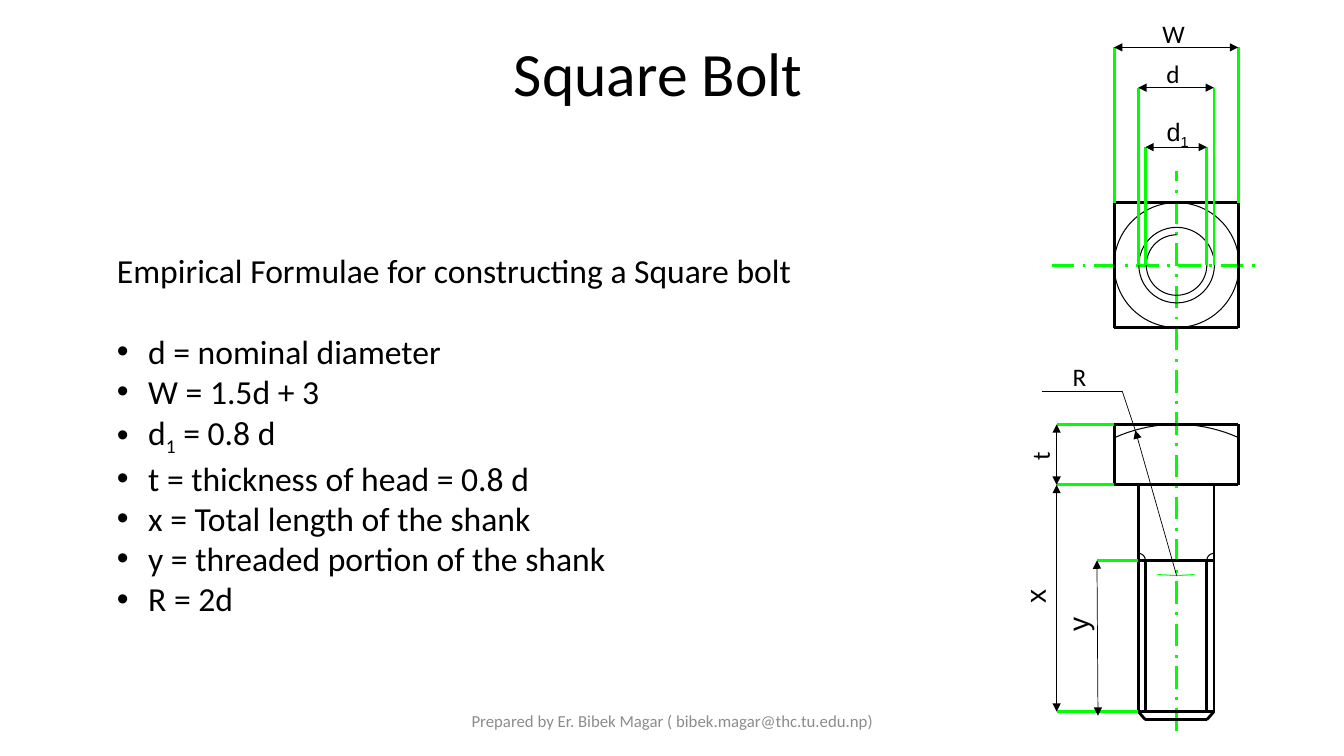
from dataclasses import dataclass
from math import asin, cos, degrees, radians, sin

from lxml.etree import SubElement
from pptx import Presentation
from pptx.dml.color import RGBColor
from pptx.enum.dml import MSO_LINE
from pptx.enum.shapes import MSO_CONNECTOR, MSO_SHAPE
from pptx.enum.text import MSO_ANCHOR, MSO_AUTO_SIZE, PP_ALIGN
from pptx.oxml.ns import qn
from pptx.util import Inches, Pt


@dataclass(frozen=True)
class Theme:
    ink: RGBColor = RGBColor(0x00, 0x00, 0x00)
    guide: RGBColor = RGBColor(0x00, 0xFF, 0x00)
    muted: RGBColor = RGBColor(0x8C, 0x8C, 0x8C)
    font: str = "Calibri"
    drawing_font: str = "Arial"
    title_size: int = 44
    body_size: int = 24
    axis_size: int = 20
    label_size: int = 18
    footer_size: int = 12
    outline: float = 0
    dimension: float = 0.5


class BoltSlide:
    def __init__(self, page, theme):
        self.page = page
        self.theme = theme

    def place(self, box, left, top, width, height):
        box.left, box.top = Inches(left), Inches(top)
        box.width, box.height = Inches(width), Inches(height)

    def style_runs(self, para, size, color=None, font=None):
        for span in para.runs:
            span.font.size = Pt(size)
            span.font.name = font or self.theme.font
            span.font.color.rgb = color or self.theme.ink

    def add_spans(self, para, text):
        for index, part in enumerate(text.split("_")):
            span = para.add_run()
            span.text = part
            if index == 1:
                span._r.get_or_add_rPr().set("baseline", "-25000")

    def title(self, text, *area):
        box = self.page.shapes.title
        self.place(box, *area)
        frame = box.text_frame
        frame.text = text
        frame.auto_size = MSO_AUTO_SIZE.NONE
        frame.vertical_anchor = MSO_ANCHOR.MIDDLE
        para = frame.paragraphs[0]
        para.alignment = PP_ALIGN.CENTER
        para.line_spacing = 0.9
        self.style_runs(para, self.theme.title_size)

    def formulae(self, heading, items, *area):
        box = self.page.placeholders[1]
        self.place(box, *area)
        frame = box.text_frame
        frame.auto_size = MSO_AUTO_SIZE.NONE
        for index, text in enumerate([heading] + items):
            para = frame.add_paragraph() if index else frame.paragraphs[0]
            properties = para._p.get_or_add_pPr()
            indent = Inches(0.31) if index else 0
            properties.set("marL", str(indent))
            properties.set("indent", str(-indent))
            if index:
                SubElement(properties, qn("a:buFont"), typeface="Arial")
                SubElement(properties, qn("a:buChar"), char="•")
            else:
                SubElement(properties, qn("a:buNone"))
            para.space_before = Pt(29) if index == 1 else Pt(0)
            self.add_spans(para, text)
            self.style_runs(para, self.theme.body_size)

    def label(self, text, area, size, color=None, font=None, rotation=0,
              centred=False, tight=False):
        box = self.page.shapes.add_textbox(0, 0, 0, 0)
        self.place(box, *area)
        box.rotation = rotation
        frame = box.text_frame
        frame.word_wrap = not tight
        if tight:
            frame.margin_left = frame.margin_right = 0
            frame.margin_top = frame.margin_bottom = 0
        para = frame.paragraphs[0]
        if centred:
            frame.vertical_anchor = MSO_ANCHOR.MIDDLE
            para.alignment = PP_ALIGN.CENTER
        self.add_spans(para, text)
        self.style_runs(para, size, color, font)

    def line(self, start, end, color=None, width=None, dashed=False, ends=()):
        connector = self.page.shapes.add_connector(
            MSO_CONNECTOR.STRAIGHT, *map(Inches, (*start, *end)))
        line = connector.line
        line.color.rgb = color or self.theme.ink
        line.width = Pt(self.theme.outline if width is None else width)
        if dashed:
            line.dash_style = MSO_LINE.LONG_DASH_DOT
        for end_name in ends:
            SubElement(line._get_or_add_ln(), qn("a:" + end_name), type="triangle")
        SubElement(connector._element.spPr, qn("a:effectLst"))

    def chain(self, points, **style):
        for start, end in zip(points, points[1:]):
            self.line(start, end, **style)

    def dimension(self, start, end):
        self.line(start, end, width=self.theme.dimension, ends=("headEnd", "tailEnd"))

    def outline(self, shape, color=None):
        shape.shadow.inherit = False
        shape.fill.background()
        shape.line.color.rgb = color or self.theme.ink
        shape.line.width = Pt(self.theme.outline)

    def circle(self, center, radius):
        shape = self.page.shapes.add_shape(MSO_SHAPE.OVAL, 0, 0, 0, 0)
        self.place(shape, center[0] - radius, center[1] - radius, 2 * radius, 2 * radius)
        self.outline(shape)

    def curve(self, points, color=None):
        points = [(Inches(x), Inches(y)) for x, y in points]
        builder = self.page.shapes.build_freeform(*points[0])
        builder.add_line_segments(points[1:], close=False)
        self.outline(builder.convert_to_shape(), color)

    def arc(self, center, radius, first, last, steps):
        angles = [radians(first + (last - first) * step / steps) for step in range(steps + 1)]
        self.curve([(center[0] + radius * cos(angle), center[1] + radius * sin(angle))
                    for angle in angles])


def main():
    deck = Presentation()
    deck.slide_width, deck.slide_height = Inches(13.33), Inches(7.5)
    theme = Theme()
    slide = BoltSlide(deck.slides.add_slide(deck.slide_layouts[1]), theme)

    slide.title("Square Bolt", 0.78, 0.03, 11.5, 1.45)
    slide.formulae("Empirical Formulae for constructing a Square bolt", [
        "d = nominal diameter", "W = 1.5d + 3", "d_1_ = 0.8 d",
        "t = thickness of head = 0.8 d", "x = Total length of the shank",
        "y = threaded portion of the shank", "R = 2d"], 1.06, 2.43, 7.45, 3.74)
    slide.label("Prepared by Er. Bibek Magar ( bibek.magar@thc.tu.edu.np)",
                (4.42, 6.95, 4.5, 0.4), theme.footer_size, theme.muted, centred=True)

    axis, plan_middle = 11.67, 2.63
    plan_center = (axis, plan_middle)
    plan_top, plan_bottom = 2.01, 3.25
    head_left, head_right = 11.05, 12.28
    shank_left, shank_right = 11.29, 12.04
    core_left, core_right = 11.36, 11.97
    head_top, head_bottom = 4.21, 4.81
    thread_top, shank_end, tip = 5.56, 7.06, 7.14
    head_radius = 1.5
    arc_center = (axis, head_top + head_radius)

    slide.line((axis, 7.25), (axis, 1.7), theme.guide, dashed=True)
    slide.line((10.43, plan_middle), (12.49, plan_middle), theme.guide, dashed=True)
    for top, bottom in ((plan_top, plan_bottom), (head_top, head_bottom)):
        slide.chain([(head_left, top), (head_right, top), (head_right, bottom),
                     (head_left, bottom), (head_left, top)])

    slide.circle(plan_center, 0.62)
    slide.circle(plan_center, 0.375)
    slide.arc(plan_center, 0.3, -90, -360, 44)
    spread = degrees(asin((head_right - head_left) / 2 / head_radius))
    slide.arc(arc_center, head_radius, spread - 90, -spread - 90, 18)

    slide.chain([(shank_left, head_bottom), (shank_left, shank_end), (core_left, tip),
                 (core_right, tip), (shank_right, shank_end), (shank_right, head_bottom)])
    for height in (thread_top, shank_end):
        slide.line((shank_left, height), (shank_right, height))
    for core in (core_left, core_right):
        slide.line((core, shank_end), (core, thread_top))
    slide.arc((shank_left, thread_top), 0.07, 0, -90, 7)
    slide.arc((shank_right, thread_top), 0.07, -90, -180, 7)
    slide.curve([(11.48, 5.7), (axis, 5.71), (11.85, 5.7)], theme.guide)

    for left, right, start, level in ((head_left, head_right, plan_top, 0.47),
                                      (shank_left, shank_right, plan_middle, 0.87),
                                      (core_left, core_right, plan_middle, 1.46)):
        for side in (left, right):
            slide.line((side, start), (side, level), theme.guide)
        slide.dimension((left, level), (right, level))

    length_x, thread_x = 10.48, 10.88
    for side, height, reach in ((head_left, head_top, length_x),
                                (head_left, head_bottom, length_x),
                                (shank_left, shank_end, length_x),
                                (shank_left, thread_top, thread_x)):
        slide.line((side, height), (reach, height), theme.guide)
    slide.dimension((length_x, head_bottom), (length_x, head_top))
    slide.dimension((length_x, shank_end), (length_x, head_bottom))
    slide.dimension((thread_x, thread_top), (10.89, 7.1))

    leader = (11.26, 4.27)
    slide.line(arc_center, leader, width=theme.dimension, ends=("tailEnd",))
    slide.chain([leader, (11.13, 3.88), (10.33, 3.88)], width=theme.dimension)

    for text, area, rotation in (("W", (11.43, 0.13, 0.47, 0.4), 0),
                                 ("d", (11.47, 0.53, 0.65, 0.4), 0),
                                 ("t", (9.85, 4, 0.93, 0.4), 270),
                                 ("R", (10.54, 3.54, 0.86, 0.4), 0)):
        slide.label(text, area, theme.label_size, rotation=rotation)
    for text, area, size, rotation in (
            ("d_1", (11.57, 1.15, 0.23, 0.64), theme.label_size, 0),
            ("x", (10.17, 5.72, 0.19, 0.34), theme.axis_size, 270),
            ("y", (10.62, 6.02, 0.14, 0.34), theme.axis_size, 270)):
        slide.label(text, area, size, font=theme.drawing_font, rotation=rotation, tight=True)

    deck.save("out.pptx")


if __name__ == "__main__":
    main()
